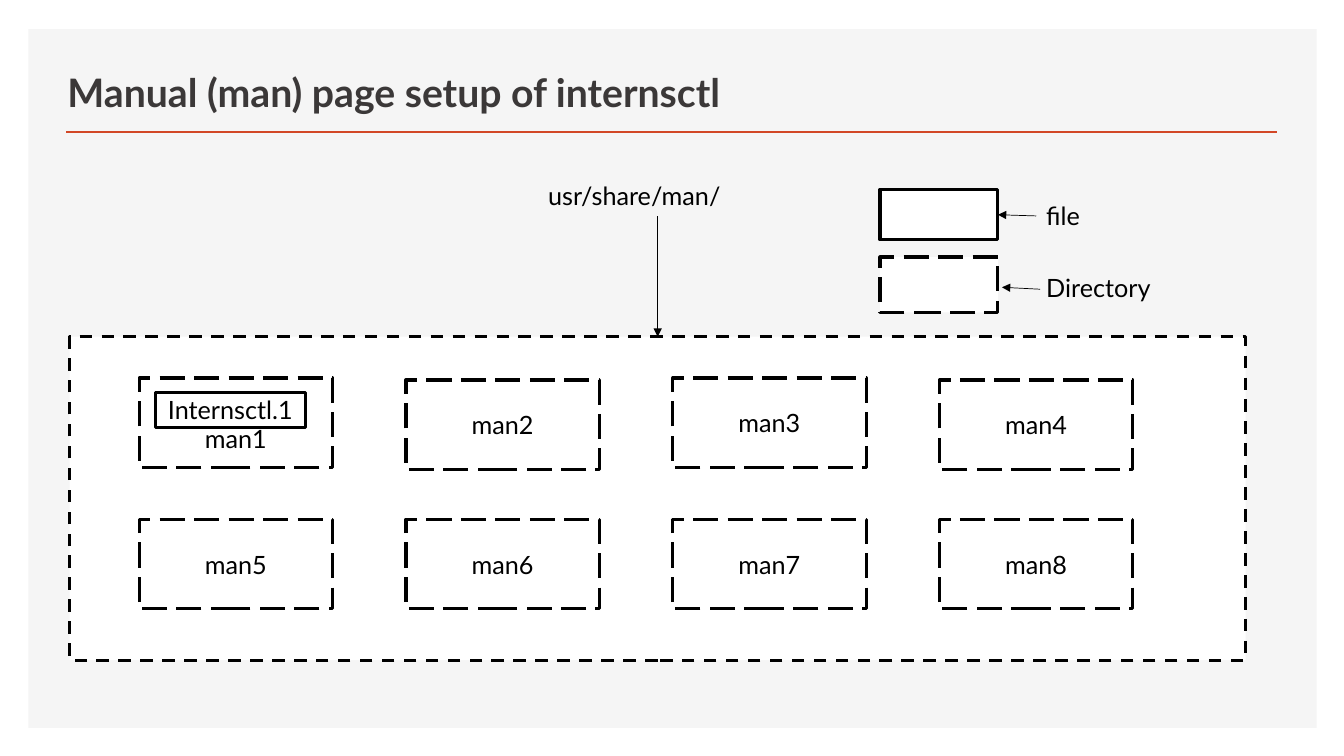
from lxml import etree
from pptx import Presentation
from pptx.dml.color import RGBColor
from pptx.enum import dml, shapes, text
from pptx.oxml.ns import qn
from pptx.util import Pt

COLORS = {"panel": "F5F5F5", "rule": "D24726", "title": "3B3838",
          "ink": "000000", "paper": "FFFFFF"}
LABEL = {"name": "Lato", "size": Pt(18), "bold": False}
HEADING = {"name": "Lato", "size": Pt(28), "bold": True}
DIRECTORY = dml.MSO_LINE.LONG_DASH


def write(shape, words, font=LABEL, color="ink", **frame_format):
    frame = shape.text_frame
    for key, value in {"word_wrap": True, **frame_format}.items():
        setattr(frame, key, value)
    paragraph = frame.paragraphs[0]
    run = paragraph.add_run()
    run.text = words
    for key, value in font.items():
        setattr(run.font, key, value)
    run.font.color.rgb = RGBColor.from_string(COLORS[color])
    return paragraph


def add_box(left, top, width, height, dash=None, words="", margin_top=Pt(3.6)):
    """Add a white outlined rectangle; a dash style marks a directory."""
    box = slide.shapes.add_shape(shapes.MSO_SHAPE.RECTANGLE, Pt(left), Pt(top), Pt(width), Pt(height))
    box.shadow.inherit = False
    box.fill.solid()
    box.fill.fore_color.rgb = RGBColor.from_string(COLORS["paper"])
    box.line.color.rgb = RGBColor.from_string(COLORS["ink"])
    box.line.width = Pt(2.25)
    if dash:
        box.line.dash_style = dash
    if words:
        paragraph = write(box, words, margin_top=margin_top, vertical_anchor=text.MSO_ANCHOR.MIDDLE)
        paragraph.alignment = text.PP_ALIGN.CENTER
    return box


prs = Presentation()
prs.slide_width, prs.slide_height = Pt(960), Pt(540)
slide = prs.slides.add_slide(prs.slide_layouts[5])

# Panel and title
panel = add_box(20.2, 20.9, 920.2, 499)
panel.fill.fore_color.rgb = RGBColor.from_string(COLORS["panel"])
panel.line.fill.background()

title = slide.shapes.title
title.left, title.top, title.width, title.height = Pt(41), Pt(35.3), Pt(541.4), Pt(50.4)
heading = write(title, "Manual (man) page setup of internsctl", HEADING, "title",
                vertical_anchor=text.MSO_ANCHOR.BOTTOM, auto_size=text.MSO_AUTO_SIZE.NONE)
heading.alignment = text.PP_ALIGN.LEFT
slide.shapes._spTree.append(title._element)  # bring the title in front of the panel

# Man directory with its eight sections
man_directory = add_box(49.7, 240.5, 840.2, 231.1, dml.MSO_LINE.DASH)
section_tops = [[270, 271.4, 270, 271.4], [370.8] * 4]
for row, tops in enumerate(section_tops):
    for column, top in enumerate(tops):
        number = row * 4 + column + 1
        # The first section leaves a line free for the file inside it
        add_box(99.4 + 190.55 * column, top, 138.2, 64.1, DIRECTORY, f"man{number}",
                Pt(25.2 if number == 1 else 3.6))
add_box(110.9, 280.1, 107.3, 25.2, words="Internsctl.1")

# Legend and path label
file_key = add_box(628.6, 135.4, 84.2, 36)
add_box(628.6, 183.6, 84.2, 39.6, DIRECTORY)

labels = {}
for words, left, top, width in [("Directory", 740.2, 190.8, 136.8),
                                ("file", 740.2, 139.7, 136.8),
                                ("usr/share/man/", 384.5, 125.3, 170.6)]:
    labels[words] = slide.shapes.add_textbox(Pt(left), Pt(top), Pt(width), Pt(29.1))
    write(labels[words], words, auto_size=text.MSO_AUTO_SIZE.SHAPE_TO_FIT_TEXT)

# Title rule and arrows: colour, width, ends, joined shapes with their sides
lines = [
    ("rule", 2, (47.5, 94.3, 912.2, 94.3), None),
    ("ink", 0.5, (740.2, 154.1, 712.8, 153.4), (labels["file"], 1, file_key, 3)),
    ("ink", 0.5, (743, 206.6, 715.7, 205.2), None),
    ("ink", 0.5, (469.8, 154.4, 469.8, 240.5), (labels["usr/share/man/"], 2, man_directory, 0)),
]
for color, width, ends, joined in lines:
    line = slide.shapes.add_connector(shapes.MSO_CONNECTOR.STRAIGHT, *map(Pt, ends))
    line.line.color.rgb = RGBColor.from_string(COLORS[color])
    line.line.width = Pt(width)
    if color == "ink":
        etree.SubElement(line.line._get_or_add_ln(), qn("a:tailEnd"), type="triangle")
    etree.SubElement(line._element.spPr, qn("a:effectLst"))
    if joined:
        source, source_side, target, target_side = joined
        line.begin_connect(source, source_side)
        line.end_connect(target, target_side)

prs.save("out.pptx")
